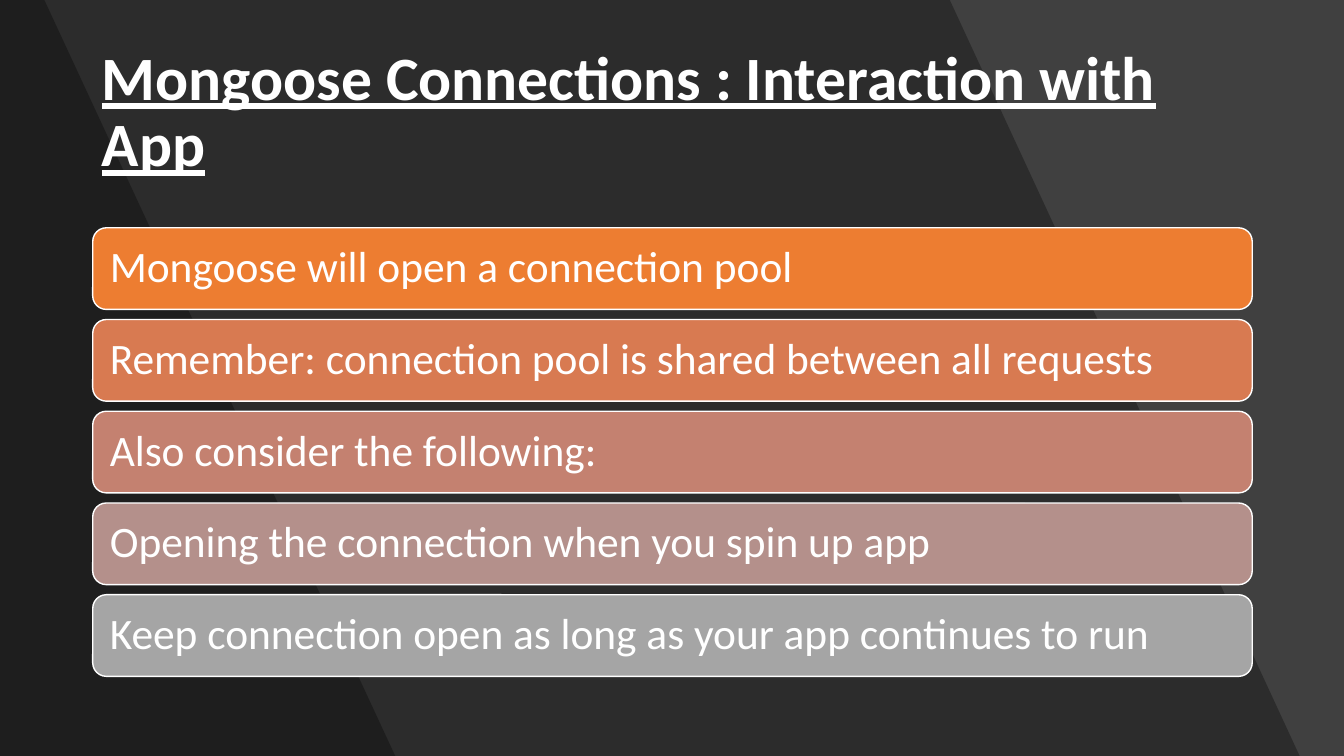
from lxml import etree
from pptx import Presentation
from pptx.dml.color import RGBColor
from pptx.enum import shapes, text
from pptx.oxml.ns import qn
from pptx.util import Inches, Pt

SLIDE_WIDTH, SLIDE_HEIGHT = 13.33, 7.5
TITLE = "Mongoose Connections : Interaction with App"
BARS = [
    ("Mongoose will open a connection pool", "ED7D31"),
    ("Remember: connection pool is shared between all requests", "D87A51"),
    ("Also consider the following:", "C48170"),
    ("Opening the connection when you spin up app", "B4908B"),
    ("Keep connection open as long as your app continues to run", "A5A5A5"),
]
SHADES = [(9.42, 12.89), (0.44, 3.92)]  # top and bottom right corners
SHADE_OPACITY = 30
TITLE_BOX = (0.91, 0.4, 11.51, 1.45)
BAR_LEFT, BAR_TOP, BAR_WIDTH, BAR_HEIGHT = 0.92, 2.26, 11.5, 0.81
BAR_STEP = 0.91
BAR_INSET = 0.13
TITLE_FONT = {"name": "Calibri", "size": Pt(44), "bold": True, "underline": True}
BAR_FONT = {"name": "Calibri", "size": Pt(31)}


def paint(fill, color):
    fill.solid()
    fill.fore_color.rgb = RGBColor.from_string(color)


def set_text(box, words, font, inset=None):
    """Write one left-aligned, vertically centred white paragraph."""
    frame = box.text_frame
    frame.text = words
    frame.word_wrap = True
    frame.auto_size = text.MSO_AUTO_SIZE.NONE
    frame.vertical_anchor = text.MSO_ANCHOR.MIDDLE
    if inset is not None:
        for side in ("left", "top", "right", "bottom"):
            setattr(frame, f"margin_{side}", Inches(inset))
    para = frame.paragraphs[0]
    para.alignment = text.PP_ALIGN.LEFT
    para.line_spacing = 0.9
    span = para.runs[0]
    for key, value in font.items():
        setattr(span.font, key, value)
    paint(span.font.fill, "FFFFFF")


def add_shade(page, top_right, bottom_right):
    """Add a translucent black panel with a slanted right edge."""
    corners = [(top_right, 0), (bottom_right, SLIDE_HEIGHT), (0, SLIDE_HEIGHT)]
    builder = page.shapes.build_freeform(0, 0)
    builder.add_line_segments([(Inches(x), Inches(y)) for x, y in corners])
    panel = builder.convert_to_shape()
    panel.shadow.inherit = False
    panel.line.fill.background()
    paint(panel.fill, "000000")
    color = panel.element.spPr.find(qn("a:solidFill"))[0]
    etree.SubElement(color, qn("a:alpha"), val=str(SHADE_OPACITY * 1000))


def add_bar(page, index, words, color):
    top = BAR_TOP + index * BAR_STEP
    bar = page.shapes.add_shape(
        shapes.MSO_SHAPE.ROUNDED_RECTANGLE,
        *map(Inches, (BAR_LEFT, top, BAR_WIDTH, BAR_HEIGHT)))
    bar.shadow.inherit = False
    paint(bar.fill, color)
    paint(bar.line.fill, "FFFFFF")
    bar.line.width = Pt(1)
    set_text(bar, words, BAR_FONT, BAR_INSET)


def main():
    deck = Presentation()
    deck.slide_width, deck.slide_height = Inches(SLIDE_WIDTH), Inches(SLIDE_HEIGHT)
    page = deck.slides.add_slide(deck.slide_layouts.get_by_name("Title Only"))
    paint(page.background.fill, "404040")

    for top_right, bottom_right in SHADES:
        add_shade(page, top_right, bottom_right)

    title = page.shapes.title
    title.element.getparent().append(title.element)  # bring above the panels
    title.left, title.top, title.width, title.height = map(Inches, TITLE_BOX)
    set_text(title, TITLE, TITLE_FONT)

    for index, (words, color) in enumerate(BARS):
        add_bar(page, index, words, color)

    deck.save("out.pptx")


if __name__ == "__main__":
    main()
